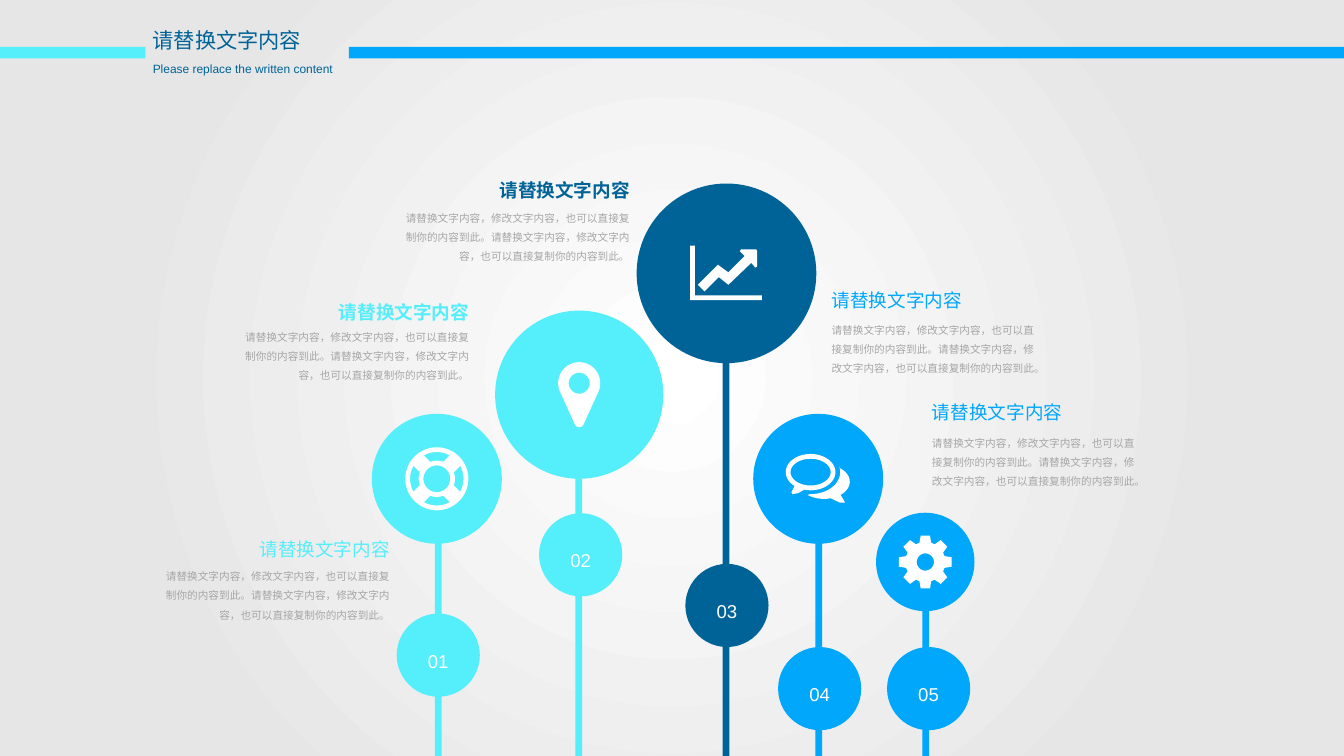
import math
from dataclasses import dataclass
from typing import Callable

import pptx
import pptx.dml.color
import pptx.enum.shapes
import pptx.enum.text
import pptx.oxml
import pptx.oxml.ns
import pptx.util

Inches = pptx.util.Inches
SHAPES = pptx.enum.shapes.MSO_SHAPE
ALIGN = pptx.enum.text.PP_ALIGN
ANCHOR = pptx.enum.text.MSO_ANCHOR

WIDTH, HEIGHT = 14.06, 7.91
CYAN, NAVY, BLUE, GREY, WHITE = "55EEFB", "006397", "00A7FB", "A6A6A6", "FFFFFF"
STEM_WIDTH, BADGE_SIZE = 0.07, 0.87
HEADING_WIDTH, HEADING_HEIGHT, BODY_HEIGHT = 1.37, 0.24, 0.58
LEFT_BODY_WIDTH, RIGHT_BODY_WIDTH = 2.38, 2.23
HEADING = "请替换文字内容"
BODY = "请替换文字内容，修改文字内容，也可以直接复制你的内容到此。" * 2


@dataclass
class Branch:
    number: str
    color: str
    head: tuple
    stem_left: float
    badge: tuple
    icon: Callable
    text_edge: float
    heading_top: float
    body_top: float
    on_left: bool
    bold: bool = False


def rgb(color):
    return pptx.dml.color.RGBColor.from_string(color)


def arc(x, y, radius_x, radius_y, start, end):
    steps = max(2, math.ceil(abs(end - start) / 6))
    angles = [math.radians(start + (end - start) * i / steps) for i in range(steps + 1)]
    return [(x + radius_x * math.cos(a), y + radius_y * math.sin(a)) for a in angles]


def circle(radius, y=0):
    return arc(0, y, radius, radius, 0, 360)


def lifebuoy_icon():
    gaps = [
        arc(0, 0, 0.28, 0.28, turn - 29, turn + 29) + arc(0, 0, 0.19, 0.19, turn + 21, turn - 21)
        for turn in range(0, 360, 90)
    ]
    return [circle(0.33), circle(0.14)] + gaps


def pin_icon():
    outline = arc(0, -0.12, 0.22, 0.22, 159, 381) + arc(0, 0.29, 0.05, 0.05, 20, 160)
    return [outline, circle(0.11, -0.12)]


def growth_icon():
    axes = [(-0.38, -0.29), (-0.33, -0.29), (-0.33, 0.23), (0.37, 0.23), (0.37, 0.28), (-0.38, 0.28)]
    arrow = [
        (0.32, -0.07), (0.30, -0.06), (0.26, -0.11), (0.02, 0.12), (-0.08, 0.04),
        (-0.23, 0.19), (-0.30, 0.12), (-0.09, -0.09), (0.02, -0.01), (0.19, -0.18),
        (0.14, -0.23), (0.15, -0.25), (0.31, -0.25), (0.32, -0.24),
    ]
    return [axes, arrow]


def chat_icon():
    front = arc(-0.08, -0.07, 0.26, 0.19, 130, 465) + [(-0.21, 0.15), (-0.27, 0.16), (-0.28, 0.14)]
    opening = arc(-0.08, -0.07, 0.21, 0.14, 0, 360)
    back = (
        arc(0.06, 0.03, 0.27, 0.18, -52, 50)
        + [(0.27, 0.23), (0.28, 0.25), (0.23, 0.25)]
        + arc(0.06, 0.03, 0.27, 0.18, 75, 130)
        + arc(-0.08, -0.07, 0.31, 0.23, 90, -15)
    )
    return [front, opening, back]


def gear_icon():
    outline = []
    for turn in range(0, 360, 45):
        for angle, radius in ((-17, 0.21), (-10, 0.28), (10, 0.28), (17, 0.21)):
            turned = math.radians(turn + angle)
            outline.append((radius * math.cos(turned), radius * math.sin(turned)))
    return [outline, circle(0.09)]


BRANCHES = [
    Branch("01", CYAN, (4.57, 5.01, 1.36), 4.55, (4.15, 6.42), lifebuoy_icon, 4.08, 5.63, 5.91, True),
    Branch("02", CYAN, (6.06, 4.13, 1.76), 6.02, (5.64, 5.37), pin_icon, 4.91, 3.15, 3.40, True, True),
    Branch("03", NAVY, (7.60, 2.86, 1.88), 7.56, (7.17, 5.90), growth_icon, 6.59, 1.87, 2.16, True, True),
    Branch("04", BLUE, (8.56, 5.01, 1.36), 8.53, (8.14, 6.77), chat_icon, 8.70, 3.02, 3.32, False),
    Branch("05", BLUE, (9.68, 5.88, 1.03), 9.65, (9.28, 6.77), gear_icon, 9.75, 4.19, 4.50, False),
]


def paint(shape, color):
    shape.shadow.inherit = False
    shape.fill.solid()
    shape.fill.fore_color.rgb = rgb(color)
    shape.line.fill.background()


def add_solid(page, kind, left, top, width, height, color):
    shape = page.shapes.add_shape(kind, Inches(left), Inches(top), Inches(width), Inches(height))
    paint(shape, color)
    return shape


def write(frame, text, size, color, align=ALIGN.LEFT, spacing=None, bold=False):
    para = frame.paragraphs[0]
    para.text = text
    para.alignment = align
    para.line_spacing = spacing
    para.font.name = "Arial"
    para.font.size = pptx.util.Pt(size)
    para.font.bold = bold
    para.font.color.rgb = rgb(color)


def add_text(page, left, top, width, height, wrap=False, inset=0.0, anchor=ANCHOR.TOP):
    box = page.shapes.add_textbox(Inches(left), Inches(top), Inches(width), Inches(height))
    frame = box.text_frame
    frame.word_wrap = wrap
    frame.auto_size = pptx.enum.text.MSO_AUTO_SIZE.SHAPE_TO_FIT_TEXT
    frame.vertical_anchor = anchor
    frame.margin_left = frame.margin_right = Inches(inset)
    frame.margin_top = frame.margin_bottom = Inches(inset / 2)
    return frame


def add_icon(page, x, y, contours):
    placed = [[(Inches(x + dx), Inches(y + dy)) for dx, dy in contour] for contour in contours]
    builder = page.shapes.build_freeform(*placed[0][0])
    builder.add_line_segments(placed[0][1:])
    for contour in placed[1:]:
        builder.move_to(*contour[0])
        builder.add_line_segments(contour[1:])
    paint(builder.convert_to_shape(), WHITE)


def add_stem(page, branch):
    _, y, size = branch.head
    top = y + size / 2 - 0.05
    add_solid(page, SHAPES.RECTANGLE, branch.stem_left, top, STEM_WIDTH, HEIGHT - top, branch.color)


def add_caption(page, branch):
    align, anchor, body_width = ALIGN.LEFT, ANCHOR.TOP, RIGHT_BODY_WIDTH
    heading_left = body_left = branch.text_edge
    if branch.on_left:
        align, anchor, body_width = ALIGN.RIGHT, ANCHOR.MIDDLE, LEFT_BODY_WIDTH
        heading_left -= HEADING_WIDTH
        body_left -= body_width
    heading = add_text(page, heading_left, branch.heading_top, HEADING_WIDTH, HEADING_HEIGHT, anchor=anchor)
    write(heading, HEADING, 14, branch.color, align, bold=branch.bold)
    body = add_text(page, body_left, branch.body_top, body_width, BODY_HEIGHT, wrap=True, anchor=anchor)
    write(body, BODY, 8, GREY, align, 1.5)


def add_badge(page, branch):
    badge = add_solid(page, SHAPES.OVAL, *branch.badge, BADGE_SIZE, BADGE_SIZE, branch.color)
    badge.text_frame.vertical_anchor = ANCHOR.MIDDLE
    write(badge.text_frame, branch.number, 14, WHITE, ALIGN.CENTER, 1.5)


def add_head(page, branch):
    x, y, size = branch.head
    add_solid(page, SHAPES.OVAL, x - size / 2, y - size / 2, size, size, branch.color)
    add_icon(page, x, y, branch.icon())


def set_background(page):
    fill = page.background.fill
    fill.gradient()
    for stop, color, position in zip(fill.gradient_stops, (WHITE, "E6E6E6"), (0, 0.73)):
        stop.color.rgb = rgb(color)
        stop.position = position
    linear = next(page.element.iter(pptx.oxml.ns.qn("a:lin")))
    radial = pptx.oxml.parse_xml(
        f'<a:path {pptx.oxml.ns.nsdecls("a")} path="circle">'
        '<a:fillToRect l="50000" t="50000" r="50000" b="50000"/></a:path>'
    )
    linear.getparent().replace(linear, radial)


def add_header(page):
    for left, width, color in ((3.65, WIDTH - 3.65, BLUE), (0, 1.52, CYAN)):
        add_solid(page, SHAPES.RECTANGLE, left, 0.49, width, 0.12, color)
    write(add_text(page, 1.5, 0.59, 2.1, 0.25, inset=0.1), "Please replace the written content", 9, NAVY)
    write(add_text(page, 1.5, 0.24, 1.77, 0.37, inset=0.1), HEADING, 16, NAVY)


def main():
    deck = pptx.Presentation()
    deck.slide_width, deck.slide_height = Inches(WIDTH), Inches(HEIGHT)
    page = deck.slides.add_slide(deck.slide_layouts[6])
    set_background(page)
    for add_part in (add_stem, add_caption, add_badge, add_head):
        for branch in BRANCHES:
            add_part(page, branch)
    add_header(page)
    deck.save("out.pptx")


if __name__ == "__main__":
    main()
